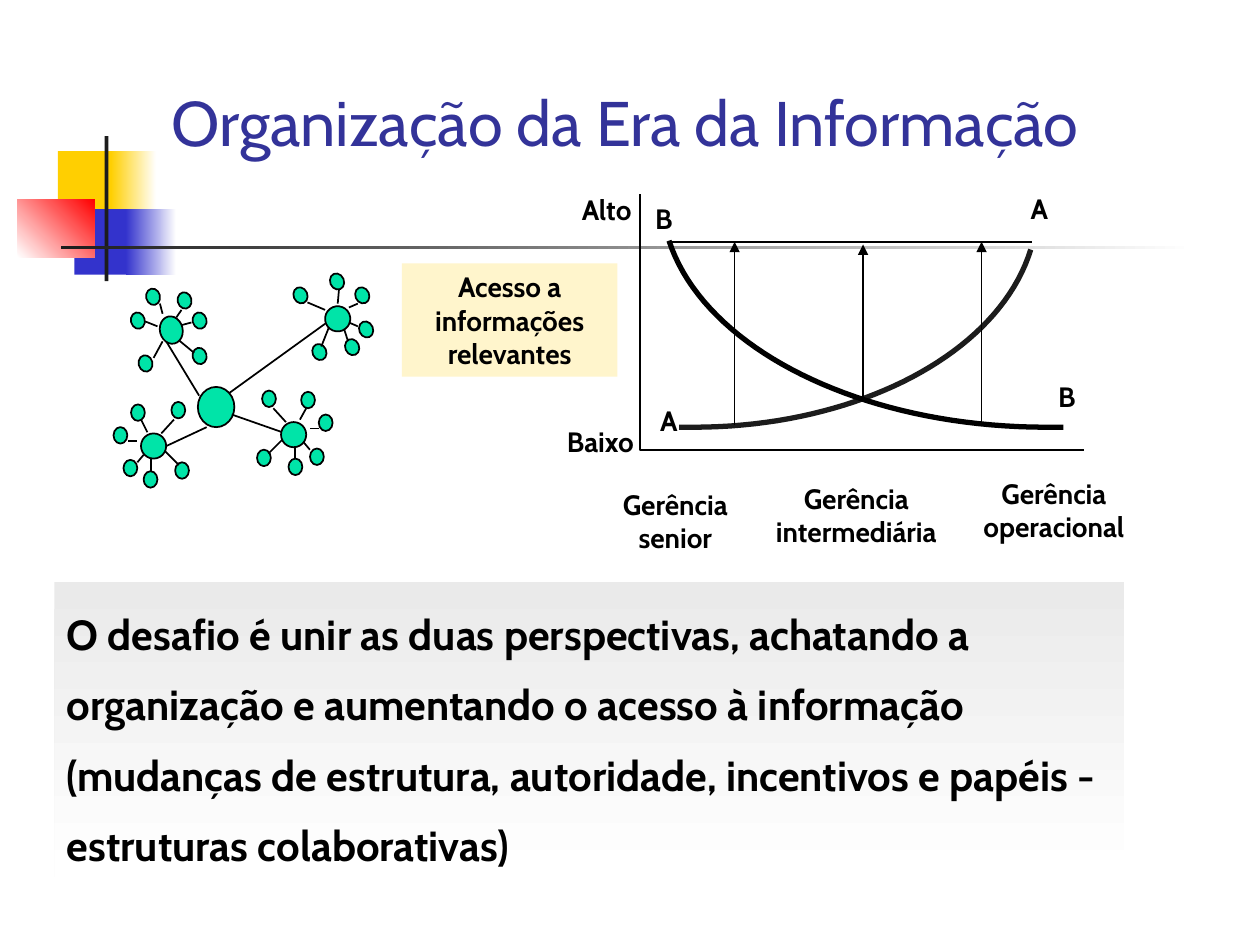
import pptx
import pptx.util
import pptx.dml.color
from pptx.enum.shapes import MSO_CONNECTOR, MSO_SHAPE
from pptx.enum.text import MSO_ANCHOR, PP_ALIGN
from pptx.oxml.ns import qn
from lxml import etree

Pt = pptx.util.Pt
FONT, BLACK, GREEN = "Cabin", "000000", "00E4A8"

# Content: title, decoration, texts
TITLE = "Organização da Era da Informação"
CHALLENGE = ("O desafio é unir as duas perspectivas, achatando a organização e "
             "aumentando o acesso à informação (mudanças de estrutura, autoridade, "
             "incentivos e papéis - estruturas colaborativas)")
DECORATION = [  # left, top, width, height, colour or (from, to, clockwise angle)
    (33.1, 86.4, 34.6, 37.4, "FFCF01"),
    (63.4, 86.4, 25.9, 37.4, ("FFCF01", "FFFFFF", 0)),
    (42.5, 119.5, 33.1, 37.4, "3333CC"),
    (72, 119.5, 28.8, 37.4, ("3333CC", "FFFFFF", 0)),
    (10.1, 113.8, 43.9, 33.1, ("FFFFFF", "FF0000", 315)),
    (59.8, 77.8, 2.2, 82.8, "1C1C1C"),
    (34.6, 140.4, 648, 2.2, ("1C1C1C", "FFFFFF", 0)),
]
LABELS = [  # text, left, top, width, height
    ("B", 367.2, 111.6, 25.2, 26.6),
    ("B", 597.6, 213.1, 25.2, 26.6),
    ("A", 370.1, 226.8, 25.2, 26.6),
    ("A", 581.8, 105.8, 25.2, 26.6),
    ("Alto", 325.4, 106.6, 46.8, 26.6),
    ("Baixo", 316.8, 239, 58.3, 26.6),
    ("Gerência\nsenior", 343.4, 275, 85, 46.1),
    ("Gerência\nintermediária", 427, 271.4, 124.6, 46.1),
    ("Gerência\noperacional", 547.9, 268.6, 108.7, 46.1),
]

# Content: graph of information access
AXES = [(365.8, 110.9), (365.8, 257), (619.2, 257)]
CURVES = [  # colour, cubic curve control points, flat end point
    ("1C1C1C", [(589, 142.6), (571, 201.6), (490.3, 244.1), (396.7, 244.1)], (388.1, 244.1)),
    (BLACK, [(382.3, 137.5), (402.5, 199.4), (492.5, 244.1), (597.6, 244.1)], (607.7, 244.1)),
]
TOP_LINE = (382.3, 138.2, 589.7, 138.2)
ARROWS = [(419.8, 242.6, 138.2), (493.2, 226.8, 139.7), (560.9, 241.2, 138.2)]  # x, from, to

# Content: network; each satellite is centre x, y and its spoke x1, y1, x2, y2
CENTRE = (123.5, 232.6, 20.9, 23)
TRUNKS = [(132.5, 236.9, 161.3, 247), (95, 254.9, 118.1, 244.1),
          (95, 195.1, 113.8, 226.1), (131, 224.6, 185.8, 185)]
CLUSTERS = [
    dict(hub=(167.8, 248.4, 14.4, 14.4), node=(7.9, 9.4), rot=0, satellites=[
        (181.1, 261, 177.1, 257, 173.5, 252.7),
        (186.1, 241.6, 182.2, 244.8, 177.1, 244.8),
        (150.8, 261.7, 153.4, 259.2, 161.3, 251.3),
        (176, 228.6, 175, 233.3, 171.4, 239.8),
        (168.8, 266.8, 168.5, 262.1, 168.5, 254.9),
        (153.7, 227.9, 156.2, 233.3, 163.4, 241.2)]),
    dict(hub=(87.8, 254.9, 14.4, 14.4), node=(7.9, 9.4), rot=0, satellites=[
        (74.5, 267.5, 78.5, 264.2, 82.1, 259.9),
        (68.8, 248.8, 73.4, 252, 78.5, 252),
        (104, 268.9, 102.2, 265.7, 94.3, 257.8),
        (78.8, 235.8, 80.6, 239.8, 84.2, 247),
        (86, 274, 86.4, 269.3, 86.4, 262.1),
        (101.9, 234.4, 99.4, 239.8, 92.2, 247.7)]),
    dict(hub=(97.9, 188.6, 15.8, 13), node=(9.4, 7.9), rot=256.8, satellites=[
        (105.5, 171.7, 103.7, 177.1, 100.8, 181.4),
        (87.5, 169.6, 91.4, 173.5, 92.9, 179.3),
        (114.1, 203.4, 110.9, 201.6, 102.2, 194.4),
        (78.8, 183.2, 82.8, 183.6, 90, 186.5),
        (114.1, 183.2, 109.4, 184.3, 103.7, 185.8),
        (83.2, 207.7, 87.8, 204.5, 92.9, 195.1)]),
    dict(hub=(193, 182.2, 14.4, 14.4), node=(7.9, 9.4), rot=336.9, satellites=[
        (209.2, 188.3, 204.5, 186.5, 199.4, 184.3),
        (207, 168.8, 204.5, 173.5, 199.4, 175.7),
        (182.5, 201.2, 183.6, 198, 187.9, 187.2),
        (192.6, 160.9, 193.7, 165.6, 193, 173.5),
        (201.2, 198.4, 198.7, 194.4, 196.6, 187.9),
        (171.7, 168.8, 175.7, 172.8, 185.8, 177.1)]),
]


def rgb(value):
    return pptx.dml.color.RGBColor.from_string(value)


def pts(*values):
    return [Pt(v) for v in values]


def paint(sp, fill=None, line=None, width=1):
    sp.shadow.inherit = False
    if fill is None:
        sp.fill.background()
    elif isinstance(fill, tuple):
        start, end, angle = fill
        sp.fill.gradient()
        sp.fill.gradient_angle = (360 - angle) % 360
        for stop, colour in zip(sp.fill.gradient_stops, (start, end)):
            stop.color.rgb = rgb(colour)
    else:
        sp.fill.solid()
        sp.fill.fore_color.rgb = rgb(fill)
    if line:
        sp.line.color.rgb = rgb(line)
        sp.line.width = Pt(width)
    else:
        sp.line.fill.background()


def write(sp, text, size, colour=BLACK, bold=True, align=PP_ALIGN.LEFT,
          wrap=True, anchor=MSO_ANCHOR.TOP, spacing=None):
    tf = sp.text_frame
    tf.text = text
    tf.word_wrap = wrap
    tf.vertical_anchor = anchor
    for p in tf.paragraphs:
        p.alignment = align
        p.line_spacing = spacing
        for r in p.runs:
            r.font.name, r.font.size, r.font.bold = FONT, Pt(size), bold
            r.font.color.rgb = rgb(colour)


def box(s, left, top, width, height, fill):
    sp = s.shapes.add_shape(MSO_SHAPE.RECTANGLE, *pts(left, top, width, height))
    paint(sp, fill)
    return sp


def node(s, x, y, width, height, rot=0):
    sp = s.shapes.add_shape(MSO_SHAPE.OVAL, *pts(x - width / 2, y - height / 2, width, height))
    sp.rotation = rot
    paint(sp, GREEN, BLACK)


def line(s, x1, y1, x2, y2, arrow=False):
    c = s.shapes.add_connector(MSO_CONNECTOR.STRAIGHT, *pts(x1, y1, x2, y2))
    c.line.color.rgb = rgb(BLACK)
    c.line.width = Pt(1)
    if arrow:
        etree.SubElement(c.line._get_or_add_ln(), qn("a:tailEnd"), type="triangle")
    etree.SubElement(c._element.spPr, qn("a:effectLst"))


def outline(s, points, colour, width):
    first, *rest = [pts(*point) for point in points]
    builder = s.shapes.build_freeform(*first)
    builder.add_line_segments(rest, close=False)
    paint(builder.convert_to_shape(), None, colour, width)


def bezier(controls, steps=40):
    for t in (i / steps for i in range(steps + 1)):
        weights = ((1 - t) ** 3, 3 * t * (1 - t) ** 2, 3 * t * t * (1 - t), t ** 3)
        yield tuple(sum(w * c[axis] for w, c in zip(weights, controls)) for axis in (0, 1))


prs = pptx.Presentation()
prs.slide_width, prs.slide_height = pts(720, 540)
s = prs.slides.add_slide(prs.slide_layouts[5])

# Decoration and title
for *place, fill in DECORATION:
    box(s, *place, fill)
title = s.shapes.title
title.left, title.top, title.width, title.height = pts(90.7, 49, 613.4, 45.4)
write(title, TITLE, 36, "333399", bold=False, anchor=MSO_ANCHOR.BOTTOM)

# Graph
for colour, controls, end in CURVES:
    outline(s, [*bezier(controls), end], colour, 3)
outline(s, AXES, BLACK, 1)
line(s, *TOP_LINE)
for x, start, end in ARROWS:
    line(s, x, start, x, end, arrow=True)

# Labels and text boxes
for text, *place in LABELS:
    align = PP_ALIGN.CENTER if "\n" in text else PP_ALIGN.LEFT
    write(s.shapes.add_textbox(*pts(*place)), text, 16, align=align, wrap=False)
write(box(s, 229.7, 150.5, 123.1, 64.8, "FFF5CC"), "Acesso a informações relevantes",
      16, align=PP_ALIGN.CENTER)
write(box(s, 31, 332.6, 611.3, 168.5, ("EAEAEA", "FFFFFF", 90)), CHALLENGE, 24, spacing=1.4)

# Network
node(s, *CENTRE)
for trunk in TRUNKS:
    line(s, *trunk)
for cluster in CLUSTERS:
    node(s, *cluster["hub"], cluster["rot"])
    for x, y, *spoke in cluster["satellites"]:
        node(s, x, y, *cluster["node"], cluster["rot"])
        line(s, *spoke)

prs.save("out.pptx")
